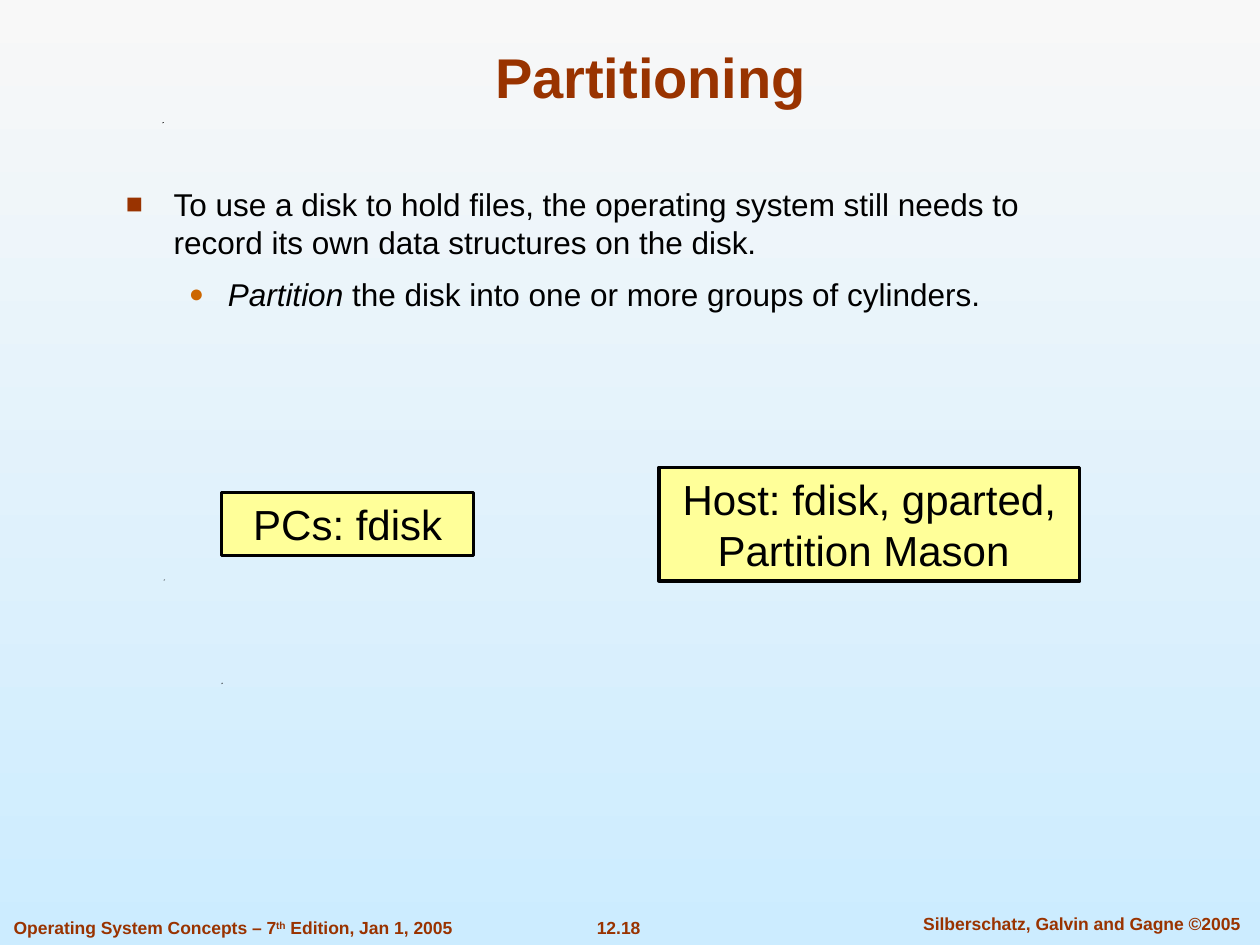
from dataclasses import dataclass

import pptx
import pptx.dml.color
import pptx.enum.shapes
import pptx.enum.text
import pptx.oxml
import pptx.oxml.ns
import pptx.util
from pptx.util import Inches

ALIGN = pptx.enum.text.PP_ALIGN
ANCHOR = pptx.enum.text.MSO_ANCHOR


@dataclass(frozen=True)
class Theme:
    font: str = "Arial"
    sky_top: str = "F8F8F8"
    sky_bottom: str = "CCECFF"
    rust: str = "993300"
    orange: str = "CC6600"
    ink: str = "000000"
    note: str = "FFFF99"
    title_size: float = 32
    body_size: float = 18
    note_size: float = 24
    footer_size: float = 10
    outline: float = 2


THEME = Theme()


@dataclass(frozen=True)
class Box:
    left: float
    top: float
    width: float
    height: float

    def lengths(self) -> list:
        return [Inches(n) for n in (self.left, self.top, self.width, self.height)]


@dataclass(frozen=True)
class Span:
    text: str
    italic: bool = False
    raised: bool = False


@dataclass(frozen=True)
class Label:
    box: Box
    spans: tuple
    size: float
    align: int = ALIGN.CENTER
    anchor: int = ANCHOR.TOP
    wrap: bool = True


@dataclass(frozen=True)
class Bullet:
    spans: tuple
    level: int
    mark: str
    color: str
    percent: int
    indent: float
    hanging: float
    before: float


@dataclass(frozen=True)
class Note:
    box: Box
    text: str


LABELS = (
    Label(Box(0.75, 0.25, 8.83, 0.67), (Span("Partitioning"),),
          THEME.title_size, anchor=ANCHOR.BOTTOM),
    Label(Box(0.01, 7.23, 3.68, 0.27),
          (Span("Operating System Concepts – 7"), Span("th", raised=True),
           Span(" Edition, Jan 1, 2005")),
          THEME.footer_size, align=ALIGN.LEFT, wrap=False),
    Label(Box(4.38, 7.23, 1.06, 0.27), (Span("12.18"),), THEME.footer_size, wrap=False),
    Label(Box(7.1, 7.2, 2.97, 0.27), (Span("Silberschatz, Galvin and Gagne ©2005"),),
          THEME.footer_size),
)
BODY = Box(0.9, 1.42, 8.04, 4.9)
BULLETS = (
    Bullet((Span("To use a disk to hold files, the operating system still needs to "
                 "record its own data structures on the disk."),),
           0, "■", THEME.rust, 90, 0.38, 0.38, 0),
    Bullet((Span("Partition", italic=True),
            Span(" the disk into one or more groups of cylinders.")),
           1, "●", THEME.orange, 80, 0.81, 0.31, 7.9),
)
NOTES = (
    Note(Box(1.76, 3.91, 2, 0.5), "PCs: fdisk"),
    Note(Box(5.23, 3.71, 3.34, 0.9), "Host: fdisk, gparted, Partition Mason "),
)
SPECKS = ((1.29, 0.97), (1.3, 4.6), (5.65, 4.6), (1.76, 5.42))


def rgb(color: str) -> pptx.dml.color.RGBColor:
    return pptx.dml.color.RGBColor.from_string(color)


def write_spans(paragraph, spans: tuple, size: float, color: str, bold: bool = False) -> None:
    for span in spans:
        run = paragraph.add_run()
        run.text = span.text
        run.font.name = THEME.font
        run.font.size = pptx.util.Pt(size)
        run.font.color.rgb = rgb(color)
        run.font.bold = bold
        run.font.italic = span.italic
        if span.raised:
            run.font._element.set("baseline", "30000")


def paint_background(slide) -> None:
    fill = slide.background.fill
    fill.gradient()
    fill.gradient_angle = 270
    for stop, color, position in zip(
        fill.gradient_stops, (THEME.sky_top, THEME.sky_bottom), (0, 1)
    ):
        stop.color.rgb = rgb(color)
        stop.position = position


def draw_speck(slide, left: float, top: float) -> None:
    outline = slide.shapes.build_freeform(Inches(left), Inches(top + 0.01))
    outline.add_line_segments(
        [(Inches(left), Inches(top)), (Inches(left + 0.01), Inches(top))], close=True
    )
    speck = outline.convert_to_shape()
    speck.shadow.inherit = False
    speck.fill.solid()
    speck.fill.fore_color.rgb = rgb(THEME.ink)
    speck.line.fill.background()


def draw_label(slide, label: Label) -> None:
    frame = slide.shapes.add_textbox(*label.box.lengths()).text_frame
    frame.word_wrap = label.wrap
    frame.vertical_anchor = label.anchor
    paragraph = frame.paragraphs[0]
    paragraph.alignment = label.align
    write_spans(paragraph, label.spans, label.size, THEME.rust, bold=True)


def add_mark(paragraph, bullet: Bullet) -> None:
    properties = paragraph._p.get_or_add_pPr()
    properties.set("marL", str(Inches(bullet.indent)))
    properties.set("indent", str(-Inches(bullet.hanging)))
    namespace = pptx.oxml.ns.nsdecls("a")
    for markup in (
        f'<a:buClr {namespace}><a:srgbClr val="{bullet.color}"/></a:buClr>',
        f'<a:buSzPct {namespace} val="{bullet.percent * 1000}"/>',
        f'<a:buFont {namespace} typeface="{THEME.font}"/>',
        f'<a:buChar {namespace} char="{bullet.mark}"/>',
    ):
        properties.append(pptx.oxml.parse_xml(markup))


def draw_bullets(slide, box: Box, bullets: tuple) -> None:
    frame = slide.shapes.add_textbox(*box.lengths()).text_frame
    frame.word_wrap = True
    for index, bullet in enumerate(bullets):
        paragraph = frame.add_paragraph() if index else frame.paragraphs[0]
        paragraph.level = bullet.level
        add_mark(paragraph, bullet)
        if bullet.before:
            paragraph.space_before = pptx.util.Pt(bullet.before)
        write_spans(paragraph, bullet.spans, THEME.body_size, THEME.ink)


def draw_note(slide, note: Note) -> None:
    panel = slide.shapes.add_shape(
        pptx.enum.shapes.MSO_SHAPE.RECTANGLE, *note.box.lengths()
    )
    panel.shadow.inherit = False
    panel.fill.solid()
    panel.fill.fore_color.rgb = rgb(THEME.note)
    panel.line.color.rgb = rgb(THEME.ink)
    panel.line.width = pptx.util.Pt(THEME.outline)
    panel.text_frame.word_wrap = True
    panel.text_frame.vertical_anchor = ANCHOR.TOP
    paragraph = panel.text_frame.paragraphs[0]
    paragraph.alignment = ALIGN.CENTER
    write_spans(paragraph, (Span(note.text),), THEME.note_size, THEME.ink)


def main() -> None:
    deck = pptx.Presentation()
    deck.slide_width, deck.slide_height = Inches(10), Inches(7.5)
    slide = deck.slides.add_slide(deck.slide_layouts[6])
    paint_background(slide)
    for left, top in SPECKS:
        draw_speck(slide, left, top)
    for label in LABELS:
        draw_label(slide, label)
    draw_bullets(slide, BODY, BULLETS)
    for note in NOTES:
        draw_note(slide, note)
    deck.save("out.pptx")


if __name__ == "__main__":
    main()
